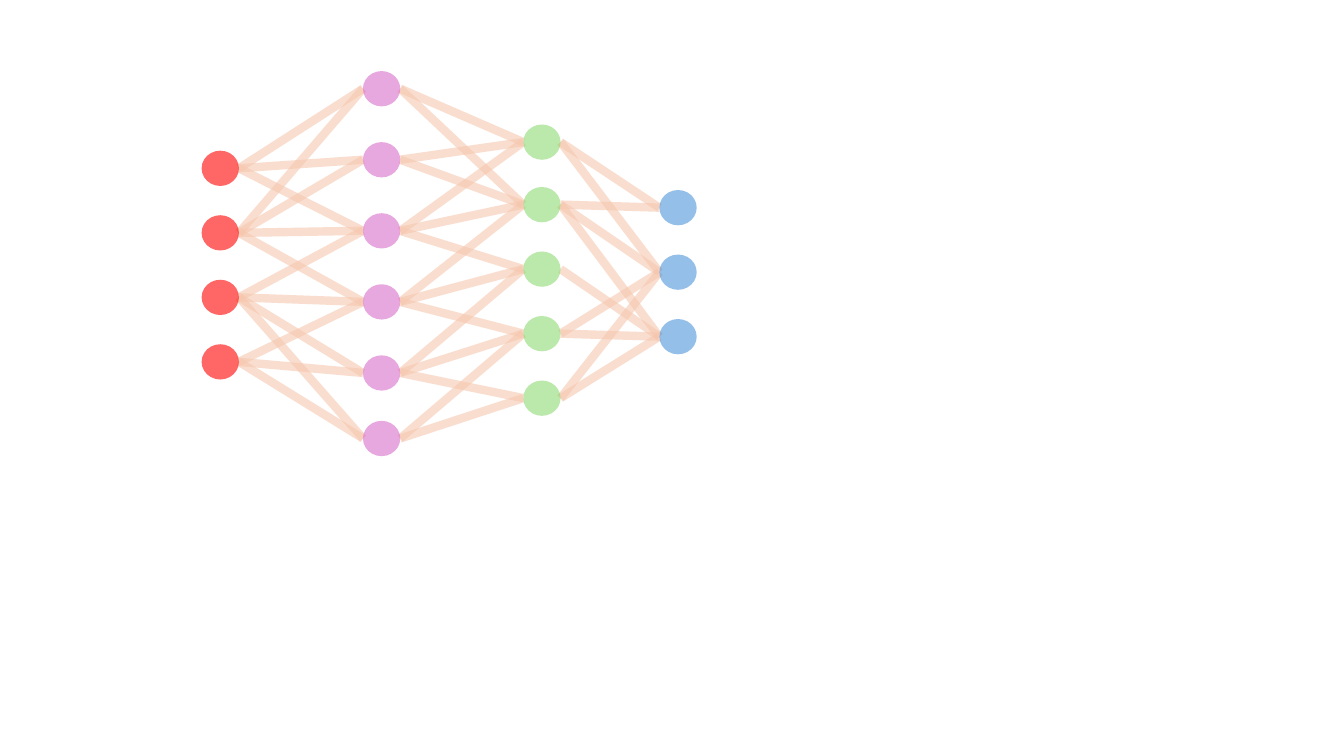
from dataclasses import dataclass
from itertools import pairwise

from lxml.etree import SubElement
from pptx import Presentation
from pptx.dml.color import RGBColor
from pptx.enum.shapes import MSO_CONNECTOR, MSO_SHAPE
from pptx.oxml.ns import qn
from pptx.util import Inches, Pt


@dataclass(frozen=True)
class Theme:
    """Colours, opacities and sizes shared by the network."""
    link: str = "F6C6AD"
    input: str = "FF0000"
    first_hidden: str = "D86ECC"
    second_hidden: str = "8ED973"
    output: str = "4E95D9"
    link_opacity: int = 57
    node_opacity: int = 60
    link_width: float = 6
    node_width: float = 0.37
    node_height: float = 0.35


@dataclass(frozen=True)
class Layer:
    """A column of nodes; targets lists the next-layer nodes each one feeds."""
    left: float
    centres: list
    colour: str
    targets: tuple = ()


THEME = Theme()
NODE_STEP = 0.64


def evenly(first, count, step=NODE_STEP):
    """Return evenly spaced node centres."""
    return [first + index * step for index in range(count)]


LAYERS = [
    Layer(2, evenly(1.67, 4), THEME.input,
          ((0, 1, 2), (0, 1, 2, 3), (2, 3, 4, 5), (3, 4, 5))),
    Layer(3.6, evenly(0.88, 5, 0.705) + [4.35], THEME.first_hidden,
          ((0, 1), (0, 1), (0, 1, 2), (1, 2, 3), (2, 3, 4), (3, 4))),
    Layer(5.19, [1.41] + evenly(2.03, 4), THEME.second_hidden,
          ((0, 1), (0, 1, 2), (2,), (1, 2), (1, 2))),
    Layer(6.54, evenly(2.06, 3), THEME.output),
]


def paint(fill, colour, opacity):
    """Apply a translucent solid colour to a fill."""
    fill.solid()
    fill.fore_color.rgb = RGBColor.from_string(colour)
    solid = fill._xPr.find(qn("a:solidFill"))
    SubElement(solid[0], qn("a:alpha"), val=str(opacity * 1000))


def add_link(page, start_x, start_y, end_x, end_y):
    """Draw one link between two nodes."""
    link = page.shapes.add_connector(
        MSO_CONNECTOR.STRAIGHT,
        Inches(start_x), Inches(start_y), Inches(end_x), Inches(end_y))
    link.line.width = Pt(THEME.link_width)
    paint(link.line.fill, THEME.link, THEME.link_opacity)
    SubElement(link._element.spPr, qn("a:effectLst"))


def add_links(page, source, target):
    """Draw every link from one layer to the next."""
    for start_y, indexes in zip(source.centres, source.targets):
        for index in indexes:
            add_link(page, source.left + THEME.node_width, start_y,
                     target.left, target.centres[index])


def add_nodes(page, layer):
    """Draw the nodes of one layer."""
    for centre in layer.centres:
        node = page.shapes.add_shape(
            MSO_SHAPE.OVAL,
            Inches(layer.left), Inches(centre - THEME.node_height / 2),
            Inches(THEME.node_width), Inches(THEME.node_height))
        node.shadow.inherit = False
        node.line.fill.background()
        paint(node.fill, layer.colour, THEME.node_opacity)


def main():
    """Build the neural network slide."""
    deck = Presentation()
    deck.slide_width, deck.slide_height = Inches(13.33), Inches(7.5)
    page = deck.slides.add_slide(deck.slide_layouts[6])
    for source, target in reversed(list(pairwise(LAYERS))):
        add_links(page, source, target)
    for layer in LAYERS:
        add_nodes(page, layer)
    deck.save("out.pptx")


if __name__ == "__main__":
    main()
